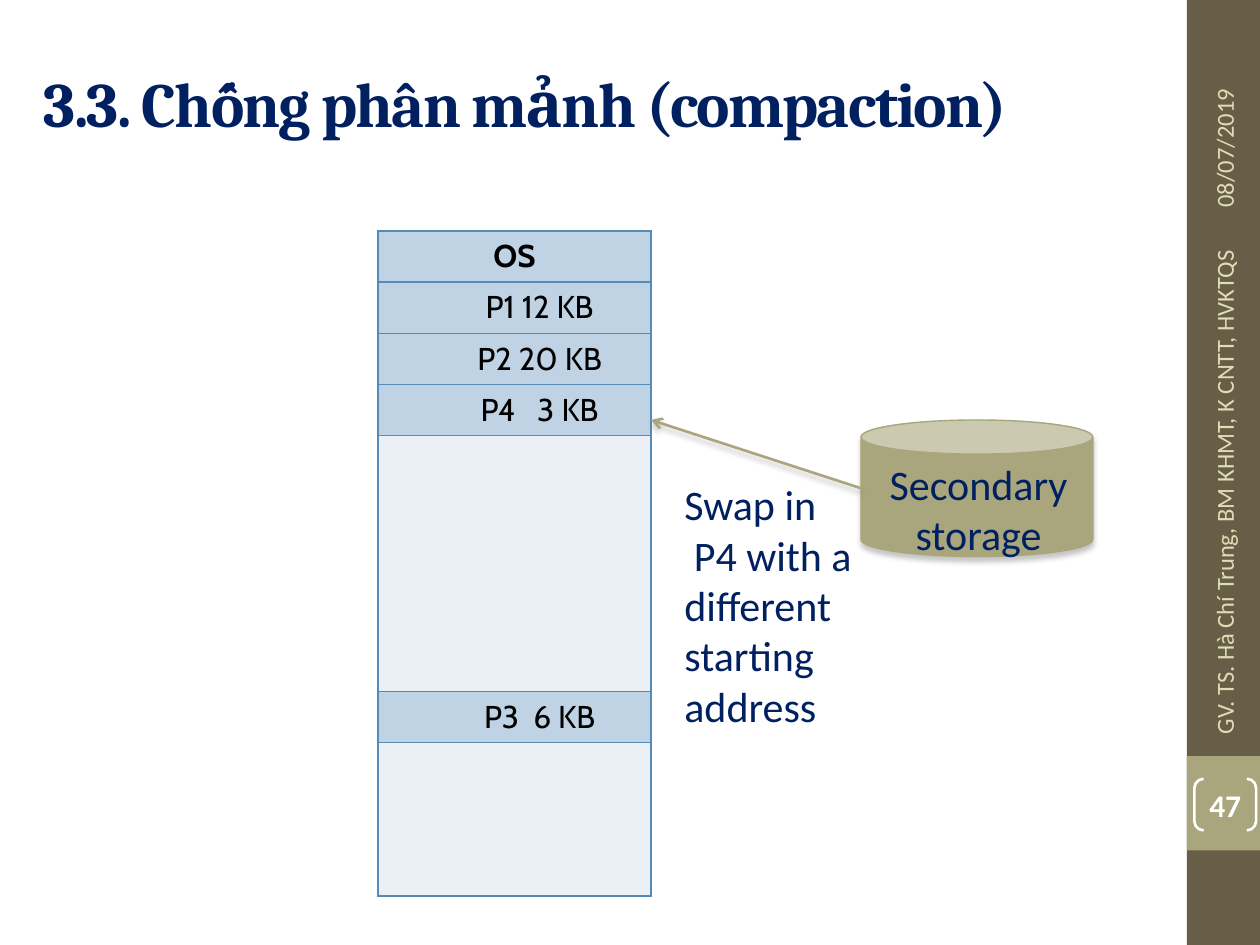
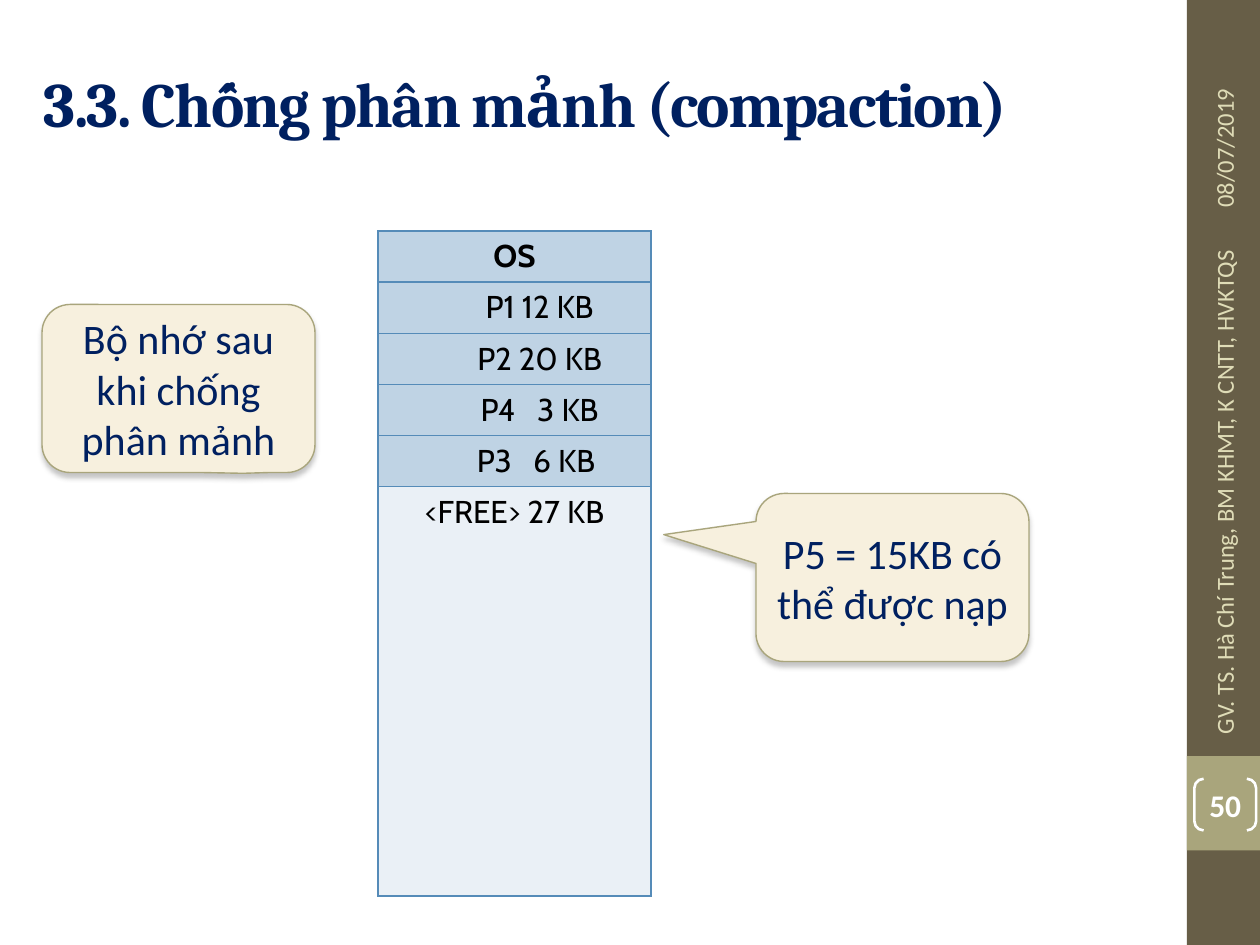
from lxml import etree
from pptx import Presentation
from pptx.dml.color import RGBColor
from pptx.enum.shapes import MSO_CONNECTOR as CON, MSO_SHAPE as SHP
from pptx.enum.text import MSO_ANCHOR as ANC, PP_ALIGN as AL
from pptx.oxml.ns import qn
from pptx.util import Pt

COLORS = {
    "navy": "002060", "brown": "675E47", "olive": "A9A57C", "sand": "DFDCB7",
    "cream": "F7F0DE", "white": "FFFFFF", "black": "000000",
    "used": "BFD3E4", "free": "EAF0F6", "border": "558BB8", "shade": "808080",
}
TITLE = "3.3. Chống phân mảnh (compaction)"
FOOTERS = [
    ("08/07/2019", (636.5, 48.25, 126, 28.8)),
    ("GV. TS. Hà Chí Trung, BM KHMT, K CNTT, HVKTQS", (549.36, 262.1, 300.24, 28.8)),
]
BANDS = [("brown", (678.24, 0, 41.76, 540)), ("olive", (678.24, 432, 41.76, 54))]
SPACE = 4.1
ROW_H = 29.25

# block: name, size, rows, color, leading spaces, extra spaces between name and size
OS_BLOCK = ("OS", "", 1, "used", 0, 0)
FIRST_BLOCKS = [
    OS_BLOCK,
    ("P1", "12 KB", 1, "used", 7, 0),
    ("P2", "20 KB", 1, "used", 7, 0),
    ("P4", "3 KB", 1, "used", 7, 2),
]
SWAP_IN = FIRST_BLOCKS + [
    ("", "", 5, "free", 0, 0),
    ("P3", "6 KB", 1, "used", 7, 1),
    ("", "", 3, "free", 0, 0),
]
COMPACTED = FIRST_BLOCKS + [
    ("P3", "6 KB", 1, "used", 6, 2),
    ("<FREE>", "27 KB", 8, "free", 0, 0),
]
CALLOUTS = [
    ("Bộ nhớ sau khi chống phân mảnh", (24, 174, 156, 96), (0.236, 0.505, 0.167)),
    ("P5 = 15KB có thể được nạp", (432, 282, 156, 96), (-0.838, -0.255, 0.167)),
]
STYLES = {
    "title": dict(name="Cambria", size=Pt(36), bold=True, color="navy"),
    "footer": dict(name="Calibri", size=Pt(14), color="sand"),
    "number": dict(name="Calibri", size=Pt(18), bold=True, color="white"),
    "body": dict(name="Calibri", size=Pt(24), color="navy"),
    "cell": dict(name="Cabin", size=Pt(18), bold=False, color="black"),
    "head": dict(name="Cabin", size=Pt(18), bold=True, color="black"),
}


def rgb(key):
    return RGBColor.from_string(COLORS[key])


def pts(box):
    return [Pt(v) for v in box]


def add_run(p, text, style):
    r = p.add_run()
    r.text = text
    for key, value in STYLES[style].items():
        if key == "color":
            r.font.color.rgb = rgb(value)
        else:
            setattr(r.font, key, value)
    return r


def write(tf, lines, style, align=AL.LEFT, anchor=ANC.TOP):
    tf.word_wrap = True
    tf.vertical_anchor = anchor
    for i, line in enumerate(lines):
        p = tf.paragraphs[0] if i == 0 else tf.add_paragraph()
        p.alignment = align
        add_run(p, line, style)
    return tf


def add_text(s, box, lines, style, **layout):
    sp = s.shapes.add_textbox(*pts(box))
    write(sp.text_frame, lines, style, **layout)
    return sp


def add_shape(s, kind, box, fill=None, line=None, width=0.79, adj=()):
    sp = s.shapes.add_shape(kind, *pts(box))
    sp.shadow.inherit = False
    for i, value in enumerate(adj):
        sp.adjustments[i] = value
    if fill:
        sp.fill.solid()
        sp.fill.fore_color.rgb = rgb(fill)
    else:
        sp.fill.background()
    if line:
        sp.line.color.rgb = rgb(line)
        sp.line.width = Pt(width)
    else:
        sp.line.fill.background()
    return sp


def solid_fill(parent, key, alpha=None):
    fill = etree.SubElement(parent, qn("a:solidFill"))
    clr = etree.SubElement(fill, qn("a:srgbClr"), val=COLORS[key])
    return clr


def drop_shadow(sp):
    spPr = sp._element.spPr
    effects = spPr.find(qn("a:effectLst"))
    if effects is None:
        effects = etree.SubElement(spPr, qn("a:effectLst"))
    shadow = etree.SubElement(effects, qn("a:outerShdw"), blurRad=str(Pt(3)),
                              dist=str(Pt(2.4)), dir="5400000", rotWithShape="0")
    clr = etree.SubElement(shadow, qn("a:srgbClr"), val=COLORS["shade"])
    etree.SubElement(clr, qn("a:alpha"), val="45000")


def set_borders(cell, top, bottom):
    tcPr = cell._tc.get_or_add_tcPr()
    sides = [("L", True), ("R", True), ("T", top), ("B", bottom)]
    for i, (side, shown) in enumerate(sides):
        ln = etree.Element(qn(f"a:ln{side}"), w=str(Pt(1)))
        if shown:
            solid_fill(ln, "border")
        else:
            etree.SubElement(ln, qn("a:noFill"))
        tcPr.insert(i, ln)


def label_cell(cell, name, size, lead, gap):
    cell.margin_left = Pt(7.2 + lead * SPACE)
    p = cell.text_frame.paragraphs[0]
    p.alignment = AL.CENTER
    add_run(p, name, "cell" if size else "head")
    if size:
        r = add_run(p, " ", "cell")
        if gap:
            r.font._element.set("spc", str(round(gap * SPACE * 100)))
        add_run(p, size, "cell")


def add_memory(s, blocks):
    total = sum(block[2] for block in blocks)
    frame = s.shapes.add_table(total, 1, *pts((216, 132, 156, total * ROW_H)))
    table = frame.table
    table.first_row = table.horz_banding = False
    for row in table.rows:
        row.height = Pt(ROW_H)
    first = 0
    for name, size, count, color, lead, gap in blocks:
        for i in range(count):
            cell = table.cell(first + i, 0)
            cell.fill.solid()
            cell.fill.fore_color.rgb = rgb(color)
            set_borders(cell, i == 0, i == count - 1)
        if name:
            label_cell(table.cell(first, 0), name, size, lead, gap)
        first += count


def add_base(prs, number):
    s = prs.slides.add_slide(prs.slide_layouts[6])
    for color, box in BANDS:
        add_shape(s, SHP.RECTANGLE, box, color)
    title = add_text(s, (18, 21.6, 642, 74.2), [TITLE], "title", anchor=ANC.MIDDLE)
    title.text_frame.paragraphs[0].runs[0].font._element.set("spc", "-100")
    for text, box in FOOTERS:
        add_text(s, box, [text], "footer", anchor=ANC.MIDDLE).rotation = 270
    sp = add_shape(s, SHP.DOUBLE_BRACKET, (682.5, 445, 35.3, 29.5),
                   line="white", width=1.5, adj=[0.179])
    tf = write(sp.text_frame, [str(number)], "number", AL.CENTER, ANC.MIDDLE)
    for side in ("left", "right", "top", "bottom"):
        setattr(tf, f"margin_{side}", 0)
    return s


def build_swap_in(prs):
    s = add_base(prs, 47)
    add_memory(s, SWAP_IN)
    drop_shadow(add_shape(s, SHP.CAN, (492, 240, 132.5, 78), "olive", "olive", adj=[0.25]))
    arrow = s.shapes.add_connector(CON.STRAIGHT, *pts((492, 279, 372, 240)))
    arrow.line.color.rgb = rgb("olive")
    arrow.line.width = Pt(1.5)
    etree.SubElement(arrow.line._get_or_add_ln(), qn("a:tailEnd"), type="arrow")
    drop_shadow(arrow)
    note = add_text(s, (384, 270, 114, 152.6),
                    ["Swap in", "P4 with a different starting address"], "body")
    note.text_frame.paragraphs[1]._p.get_or_add_pPr().set("indent", str(Pt(5.4)))
    add_text(s, (498, 258.5, 122.4, 65.5), ["Secondary", "storage"], "body", align=AL.CENTER)


def build_compacted(prs):
    s = add_base(prs, 50)
    add_memory(s, COMPACTED)
    for text, box, adj in CALLOUTS:
        sp = add_shape(s, SHP.ROUNDED_RECTANGULAR_CALLOUT, box, "cream", "olive", adj=adj)
        drop_shadow(sp)
        write(sp.text_frame, [text], "body", AL.CENTER, ANC.MIDDLE)


def main():
    prs = Presentation()
    prs.slide_width, prs.slide_height = Pt(720), Pt(540)
    build_swap_in(prs)
    build_compacted(prs)
    prs.save("out.pptx")


if __name__ == "__main__":
    main()
